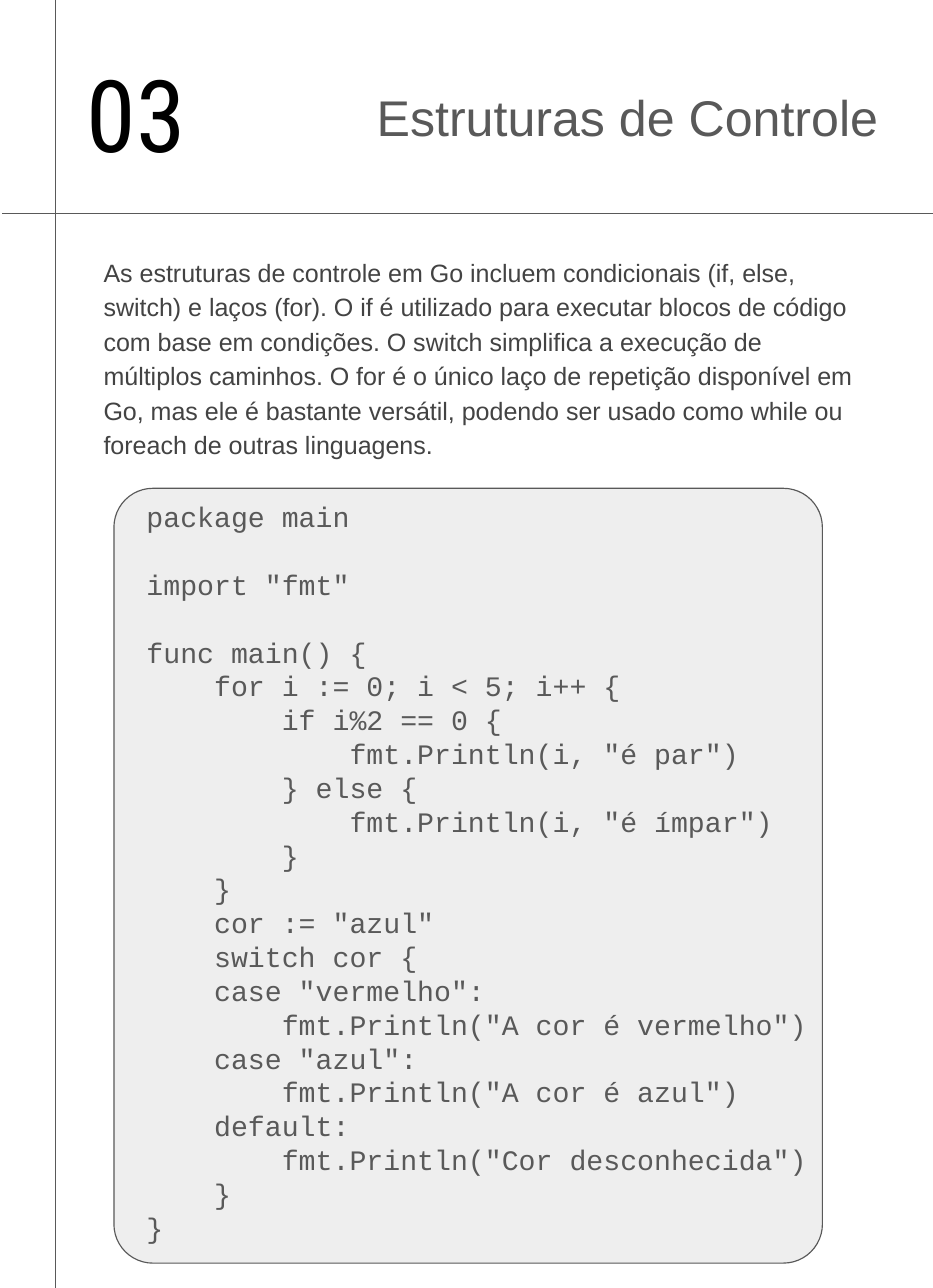
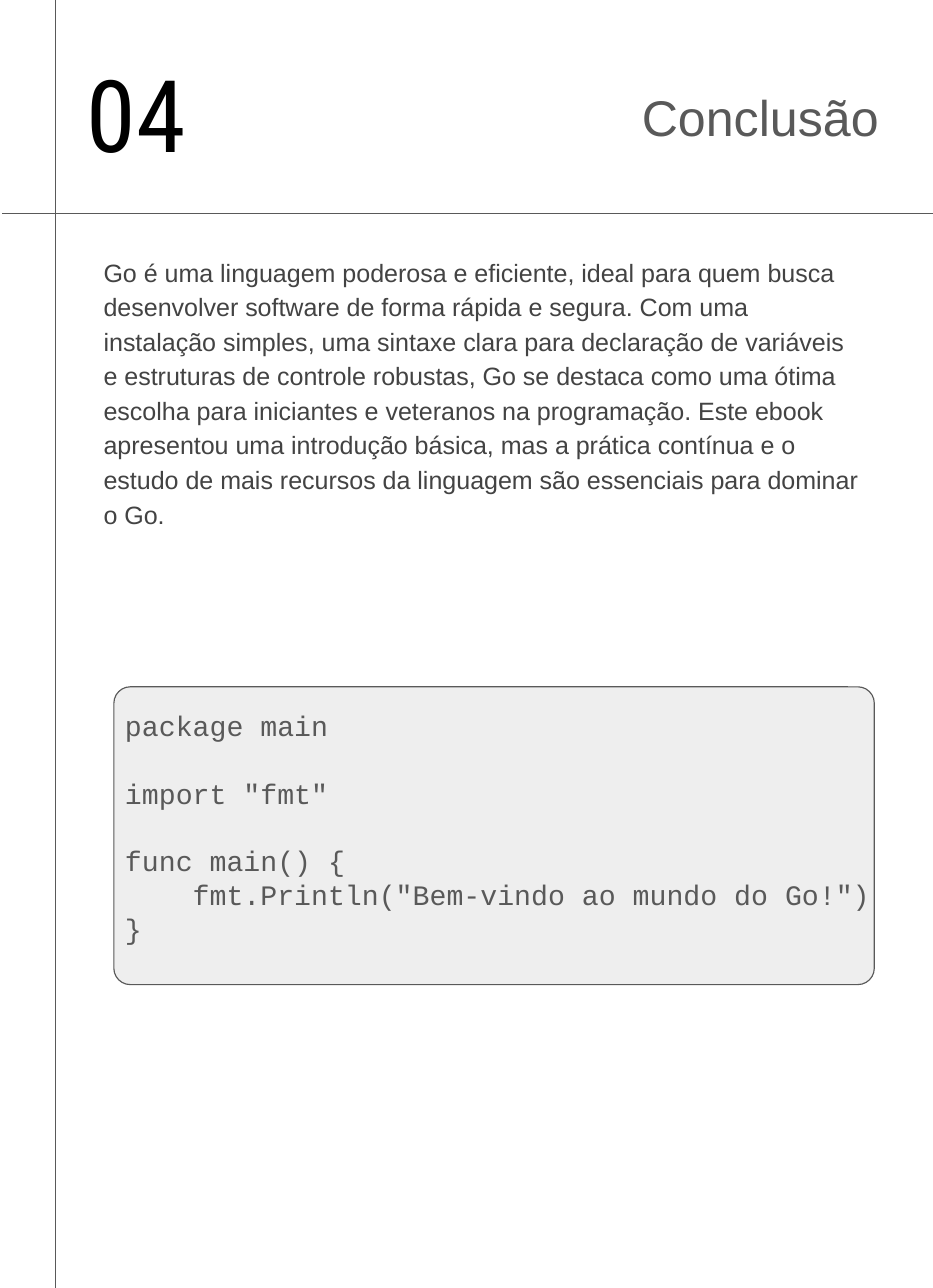
import pptx
import pptx.dml.color
import pptx.enum.shapes
import pptx.enum.text
import pptx.oxml.ns
import pptx.util
from lxml import etree

EMU_PER_PX = 9144  # 100 px to the inch
WIDTH, HEIGHT = 827, 1142
INDENT_SPACES = 4
MONOSPACE_ADVANCE = 0.6
LINE_HEIGHT = 1.2

CONTROL_TEXT = (
    "As estruturas de controle em Go incluem condicionais (if, else, switch) e laços (for). "
    "O if é utilizado para executar blocos de código com base em condições. "
    "O switch simplifica a execução de múltiplos caminhos. "
    "O for é o único laço de repetição disponível em Go, mas ele é bastante versátil, "
    "podendo ser usado como while ou foreach de outras linguagens."
)
CONCLUSION_TEXT = (
    "Go é uma linguagem poderosa e eficiente, ideal para quem busca desenvolver software "
    "de forma rápida e segura. Com uma instalação simples, uma sintaxe clara para declaração "
    "de variáveis e estruturas de controle robustas, Go se destaca como uma ótima escolha "
    "para iniciantes e veteranos na programação. Este ebook apresentou uma introdução básica, "
    "mas a prática contínua e o estudo de mais recursos da linguagem são essenciais "
    "para dominar o Go."
)
CODE_OPENING = """package main

import "fmt"

func main() {
"""
CONTROL_CODE = CODE_OPENING + """\
    for i := 0; i < 5; i++ {
        if i%2 == 0 {
            fmt.Println(i, "é par")
        } else {
            fmt.Println(i, "é ímpar")
        }
    }
    cor := "azul"
    switch cor {
    case "vermelho":
        fmt.Println("A cor é vermelho")
    case "azul":
        fmt.Println("A cor é azul")
    default:
        fmt.Println("Cor desconhecida")
    }
}"""
CONCLUSION_CODE = CODE_OPENING + """\
    fmt.Println("Bem-vindo ao mundo do Go!")
}"""


def px(length):
    return pptx.util.Emu(length * EMU_PER_PX)


def color(hex_text):
    return pptx.dml.color.RGBColor.from_string(hex_text)


def write(paragraph, text, *, font, size, ink, align=None, spacing=None,
          before=None, after=None, indent=0):
    """Fill one paragraph; size, gaps and indent are in points."""
    run = paragraph.add_run()
    run.text = text
    run.font.name = font
    run.font.size = pptx.util.Pt(size)
    run.font.color.rgb = color(ink)
    if align is not None:
        paragraph.alignment = align
    if spacing is not None:
        paragraph.line_spacing = spacing
    if before is not None:
        paragraph.space_before = pptx.util.Pt(before)
    if after is not None:
        paragraph.space_after = pptx.util.Pt(after)
    if indent:
        properties = paragraph._p.get_or_add_pPr()
        properties.set("marL", str(int(pptx.util.Pt(indent))))
        properties.set("indent", "0")


class Ebook:
    GRAY = "595959"
    BODY_INK = "434343"
    PANEL = "EEEEEE"
    BLACK = "000000"
    SANS = "Arial"
    MONO = "Courier New"
    NUMBER_FONT = "Roboto Condensed"
    CODE_SIZE = 18
    LINE_WIDTH = 0.75
    INSET = 10
    CORNER = 0.055

    def __init__(self):
        self.presentation = pptx.Presentation()
        self.presentation.slide_width = px(WIDTH)
        self.presentation.slide_height = px(HEIGHT)
        self.slide = None

    def outline(self, line):
        line.color.rgb = color(self.GRAY)
        line.width = pptx.util.Pt(self.LINE_WIDTH)

    def rule(self, x1, y1, x2, y2):
        connector = self.slide.shapes.add_connector(
            pptx.enum.shapes.MSO_CONNECTOR.STRAIGHT, px(x1), px(y1), px(x2), px(y2))
        self.outline(connector.line)
        etree.SubElement(connector._element.spPr, pptx.oxml.ns.qn("a:effectLst"))

    def text_frame(self, left, top, width, height, anchor="TOP"):
        frame = self.slide.shapes.add_textbox(
            px(left), px(top), px(width), px(height)).text_frame
        frame.word_wrap = True
        frame.vertical_anchor = pptx.enum.text.MSO_ANCHOR[anchor]
        frame.margin_left = frame.margin_right = px(self.INSET)
        frame.margin_top = frame.margin_bottom = px(self.INSET)
        return frame

    def panel(self, left, top, width, height):
        shape = self.slide.shapes.add_shape(
            pptx.enum.shapes.MSO_SHAPE.ROUNDED_RECTANGLE,
            px(left), px(top), px(width), px(height))
        shape.adjustments[0] = self.CORNER
        shape.shadow.inherit = False
        shape.fill.solid()
        shape.fill.fore_color.rgb = color(self.PANEL)
        self.outline(shape.line)

    def chapter(self, number, title, body):
        """Start a slide with its rules, number, title and opening text."""
        layout = self.presentation.slide_layouts[6]
        self.slide = self.presentation.slides.add_slide(layout)
        self.rule(49, 0, 49, HEIGHT)
        self.rule(2, 189, WIDTH, 189)
        write(self.text_frame(67, 36, 132, 127).paragraphs[0], number,
              font=self.NUMBER_FONT, size=64, ink=self.BLACK)
        write(self.text_frame(183, 52, 606, 95, "MIDDLE").paragraphs[0], title,
              font=self.SANS, size=32, ink=self.GRAY, spacing=1.15, after=12,
              align=pptx.enum.text.PP_ALIGN.RIGHT)
        write(self.text_frame(82, 214, 693, 202).paragraphs[0], body,
              font=self.SANS, size=16, ink=self.BODY_INK, spacing=1.15)

    def code(self, source, left, top, width, height):
        """Set a listing; leading spaces become indents, empty lines become gaps."""
        frame = self.text_frame(left, top, width, height)
        paragraph = frame.paragraphs[0]
        gap = None
        for number, line in enumerate(source.splitlines()):
            if not line:
                gap = self.CODE_SIZE * LINE_HEIGHT
                continue
            if number:
                paragraph = frame.add_paragraph()
            text = line.lstrip()
            level = (len(line) - len(text)) // INDENT_SPACES
            write(paragraph, text, font=self.MONO, size=self.CODE_SIZE, ink=self.GRAY,
                  before=gap,
                  indent=level * INDENT_SPACES * MONOSPACE_ADVANCE * self.CODE_SIZE)
            gap = None


def main():
    ebook = Ebook()

    ebook.chapter("03", "Estruturas de Controle", CONTROL_TEXT)
    ebook.panel(101, 433, 628, 687)
    ebook.code(CONTROL_CODE, 120, 433, 693, 687)

    ebook.chapter("04", "Conclusão", CONCLUSION_TEXT)
    ebook.panel(101, 609, 674, 264)
    ebook.code(CONCLUSION_CODE, 101, 618, 693, 263)

    ebook.presentation.save("out.pptx")


if __name__ == "__main__":
    main()
